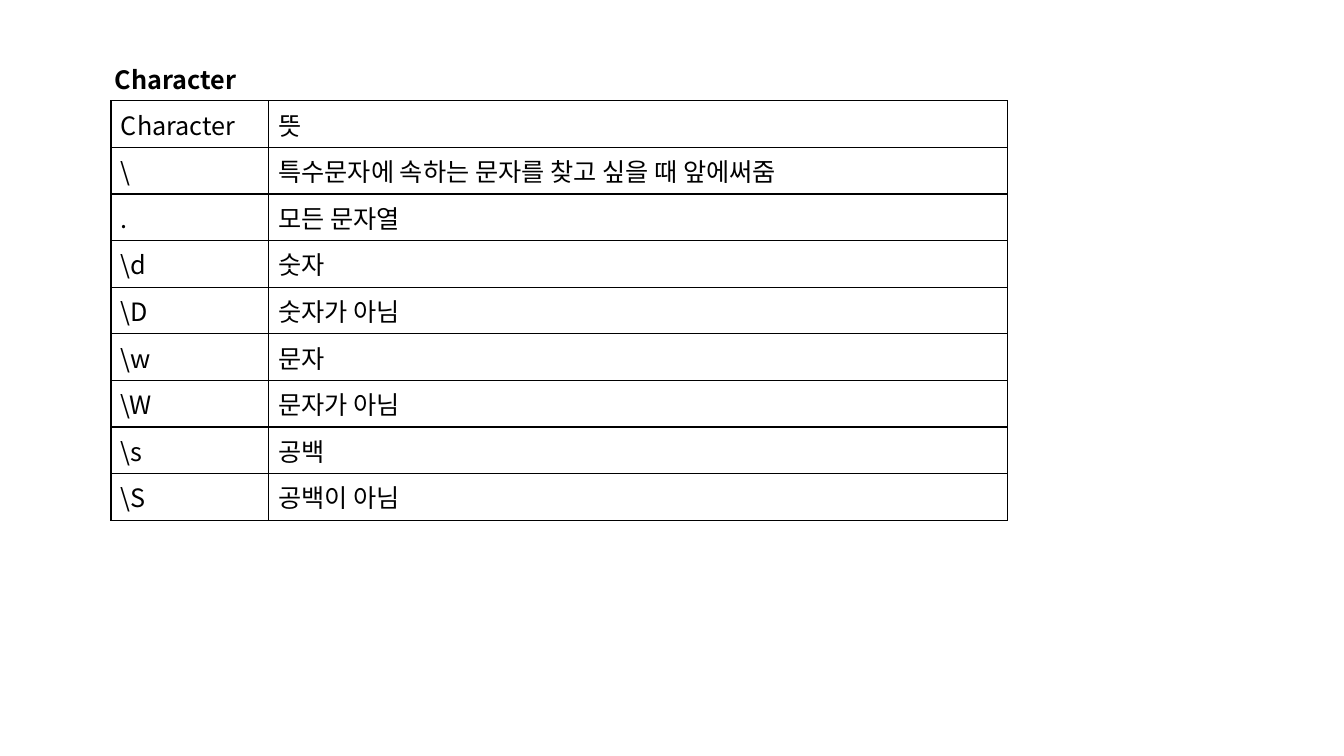
import pptx
import pptx.dml.color
import pptx.enum.text
import pptx.oxml
import pptx.oxml.ns
import pptx.util
from pptx.util import Inches

BLACK = pptx.dml.color.RGBColor(0, 0, 0)
WHITE = pptx.dml.color.RGBColor(255, 255, 255)
FONT = "Noto Sans CJK KR"
ROWS = [
    ("Character", "뜻"),
    ("\\", "특수문자에 속하는 문자를 찾고 싶을 때 앞에써줌"),
    (".", "모든 문자열"),
    ("\\d", "숫자"),
    ("\\D", "숫자가 아님"),
    ("\\w", "문자"),
    ("\\W", "문자가 아님"),
    ("\\s", "공백"),
    ("\\S", "공백이 아님"),
]


def format_text(tf, bold=False):
    for p in tf.paragraphs:
        for r in p.runs:
            r.font.size = pptx.util.Pt(18)
            r.font.name = FONT
            r.font.bold = bold
            r.font.color.rgb = BLACK
            ea = pptx.oxml.parse_xml(
                f'<a:ea {pptx.oxml.ns.nsdecls("a")} typeface="{FONT}"/>')
            r.font._element.find(pptx.oxml.ns.qn("a:latin")).addnext(ea)


def add_borders(cell):
    tc_pr = cell._tc.get_or_add_tcPr()
    for i, side in enumerate(("lnL", "lnR", "lnT", "lnB")):
        tc_pr.insert(i, pptx.oxml.parse_xml(
            f'<a:{side} {pptx.oxml.ns.nsdecls("a")} w="12700"><a:solidFill>'
            f'<a:srgbClr val="{BLACK}"/></a:solidFill></a:{side}>'))


def place_title(s, text, left, top, width, height):
    sp = s.shapes.title
    sp.left, sp.top, sp.width, sp.height = left, top, width, height
    tf = sp.text_frame
    tf.text = text
    tf.word_wrap = False
    tf.auto_size = pptx.enum.text.MSO_AUTO_SIZE.NONE
    tf.vertical_anchor = pptx.enum.text.MSO_ANCHOR.MIDDLE
    tf.paragraphs[0].alignment = pptx.enum.text.PP_ALIGN.LEFT
    format_text(tf, bold=True)


def add_character_table(s, rows, left, top, width, height):
    table = s.shapes.add_table(len(rows), 2, left, top, width, height).table
    table.first_row = False
    table.horz_banding = False
    table.columns[0].width = Inches(1.56)
    table.columns[1].width = width - Inches(1.56)
    for i, row in enumerate(rows):
        for j, text in enumerate(row):
            cell = table.cell(i, j)
            cell.text = text
            cell.fill.solid()
            cell.fill.fore_color.rgb = WHITE
            add_borders(cell)
            format_text(cell.text_frame)


def main():
    prs = pptx.Presentation()
    prs.slide_width = Inches(13.33)
    prs.slide_height = Inches(7.5)
    s = prs.slides.add_slide(prs.slide_layouts[5])
    add_character_table(s, ROWS, Inches(1.1), Inches(1), Inches(8.89), Inches(4.16))
    place_title(s, "Character", Inches(1.04), Inches(0.59), Inches(1.43), Inches(0.4))
    prs.save("out.pptx")


if __name__ == "__main__":
    main()
